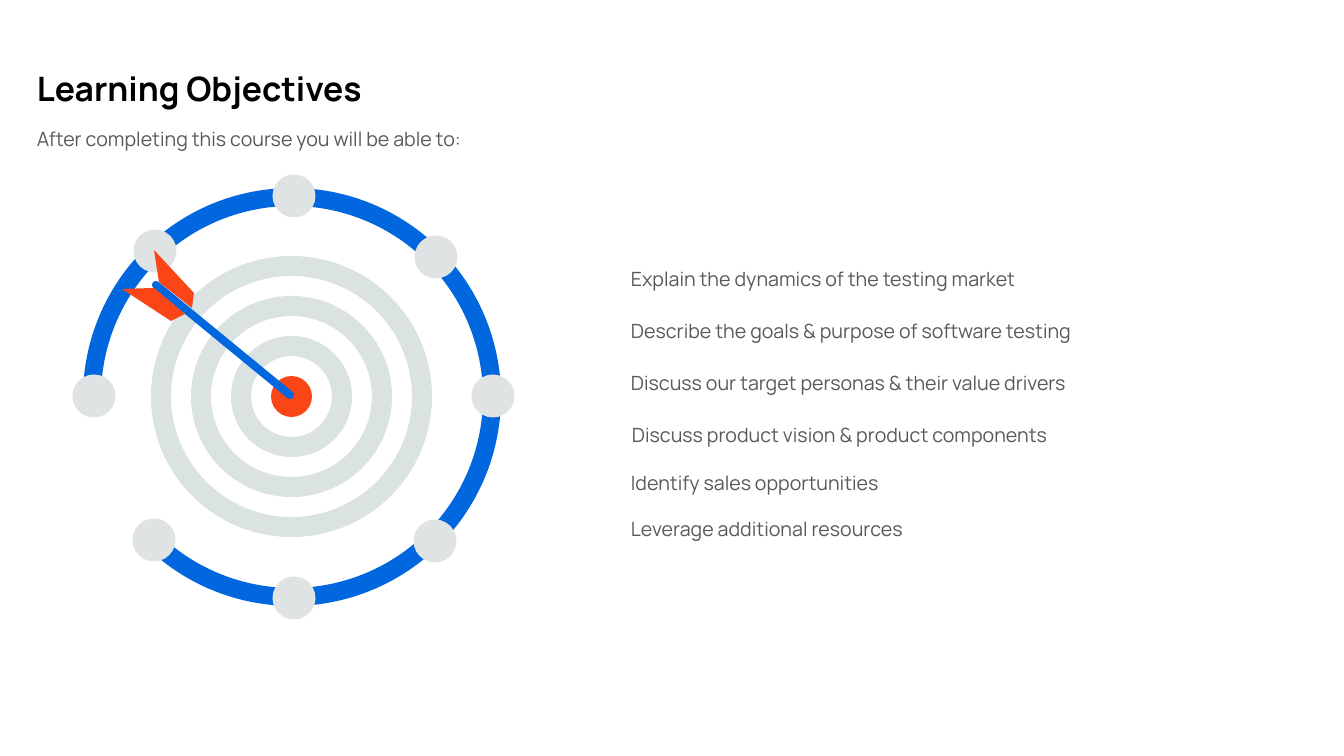
from math import atan2, cos, pi, sin, tan, tau

from pptx import Presentation
from pptx.dml.color import RGBColor
from pptx.enum.shapes import MSO_SHAPE
from pptx.oxml.ns import qn
from pptx.util import Pt

PX = 914400 / 100.8
DONUT, OVAL = MSO_SHAPE.DONUT, MSO_SHAPE.OVAL
THEME = {
    "font": "Manrope",
    "title": {"size": Pt(24), "bold": True, "color": "000000"},
    "body": {"size": Pt(14), "bold": False, "color": "58595B"},
    "blue": "0067DF",
    "orange": "FA4616",
    "ring": "DAE2E2",
    "dot": "DFE3E3",
}

prs = Presentation()
prs.slide_width, prs.slide_height = round(1344 * PX), round(756 * PX)
s = prs.slides.add_slide(prs.slide_layouts[6])


def arc(cx, cy, radius, start, sweep):
    end, k = start + sweep, 4 / 3 * tan(sweep / 4)
    units = [
        (cos(start), sin(start)),
        (cos(start) - k * sin(start), sin(start) + k * cos(start)),
        (cos(end) + k * sin(end), sin(end) - k * cos(end)),
        (cos(end), sin(end)),
    ]
    return [(cx + radius * x, cy + radius * y) for x, y in units]


def paint(sp, color):
    sp.shadow.inherit = False
    sp.fill.solid()
    sp.fill.fore_color.rgb = RGBColor.from_string(THEME[color])
    sp.line.fill.background()


texts = [
    ("Learning Objectives", "title", 27, 68, 1088, 54),
    ("After completing this course you will be able to:", "body", 27, 122, 1159, 36),
    ("Explain the dynamics of the testing market", "body", 621, 262, 508, 30),
    ("Describe the goals & purpose of software testing", "body", 621, 314, 607, 26),
    ("Discuss our target personas & their value drivers", "body", 621, 366, 508, 30),
    ("Discuss product vision & product components", "body", 622, 418, 591, 36),
    ("Identify sales opportunities", "body", 621, 466, 629, 30),
    ("Leverage additional resources", "body", 621, 512, 508, 30),
]
for text, style, *box in texts:
    tf = s.shapes.add_textbox(*[round(v * PX) for v in box]).text_frame
    tf.word_wrap = True
    p = tf.paragraphs[0]
    if style == "title":
        p.line_spacing = 0.9
    r = p.add_run()
    r.text = text
    r.font.name = THEME["font"]
    for name, value in THEME[style].items():
        if name == "color":
            r.font.color.rgb = RGBColor.from_string(value)
        else:
            setattr(r.font, name, value)

band = 20
for i, (kind, color) in enumerate([(DONUT, "ring")] * 3 + [(OVAL, "orange")]):
    inset, size = 2 * band * i, 281 - 4 * band * i
    box = (151 + inset, 256 + inset, size, size)
    sp = s.shapes.add_shape(kind, *[round(v * PX) for v in box])
    if kind == DONUT:
        sp.adjustments[0] = band / size
    paint(sp, color)

dots = [(94, 396), (155, 251), (294, 196), (436, 257),
        (493, 396), (435, 541), (294, 598), (154, 540)]
track_x, track_y, outer, inner, trim = 292, 397, 209, 191, 0.07
arc_pairs = []
for (x1, y1), (x2, y2) in zip(dots, dots[1:]):
    start = atan2(y1 - track_y, x1 - track_x)
    sweep = (atan2(y2 - track_y, x2 - track_x) - start) % tau - 2 * trim
    start += trim
    edge = arc(track_x, track_y, outer, start, sweep)
    back = arc(track_x, track_y, inner, start + sweep, -sweep)
    arc_pairs.append((edge, back))

for x, y in dots:
    box = (x - 21.5, y - 21.5, 43, 43)
    paint(s.shapes.add_shape(OVAL, *[round(v * PX) for v in box]), "dot")

tail, tip = (156, 285), (290, 395)
heading = atan2(tip[1] - tail[1], tip[0] - tail[0])
arc_pairs.append((arc(*tip, 4, heading - pi / 2, pi),
                  arc(*tail, 4, heading + pi / 2, pi)))

outlines = [("blue", True, a + [a[3], b[0]] + b + [b[3], a[0], a[0]]) for a, b in arc_pairs]
outlines += [
    ("orange", False, [(122, 289), (154, 288), (185, 314), (171, 321)]),
    ("orange", False, [(154, 250), (159, 282), (192, 308), (194, 293)]),
]
first_dot = s.shapes[-len(dots)]._element
for i, (color, curved, outline) in enumerate(outlines):
    points = [(round(x * PX), round(y * PX)) for x, y in outline]
    fb = s.shapes.build_freeform(*points[0])
    fb.add_line_segments(points[1:], close=True)
    sp = fb.convert_to_shape()
    paint(sp, color)
    if i < len(dots) - 1:
        first_dot.addprevious(sp._element)
    if curved:
        path = sp._element.xpath(".//a:path")[0]
        lines = path.findall(qn("a:lnTo"))
        for curve, second, third in zip(lines[::3], lines[1::3], lines[2::3]):
            curve.tag = qn("a:cubicBezTo")
            curve.extend([second[0], third[0]])
            path.remove(second)
            path.remove(third)

prs.save("out.pptx")
